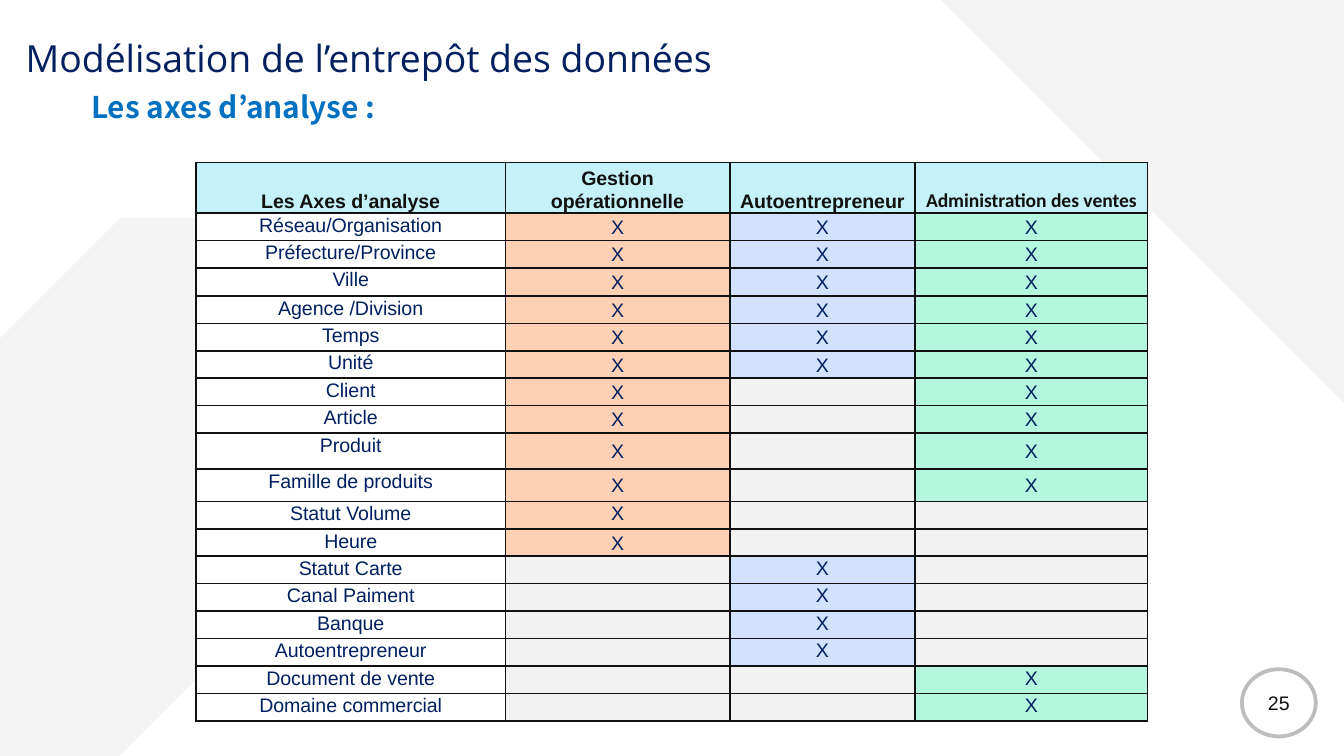
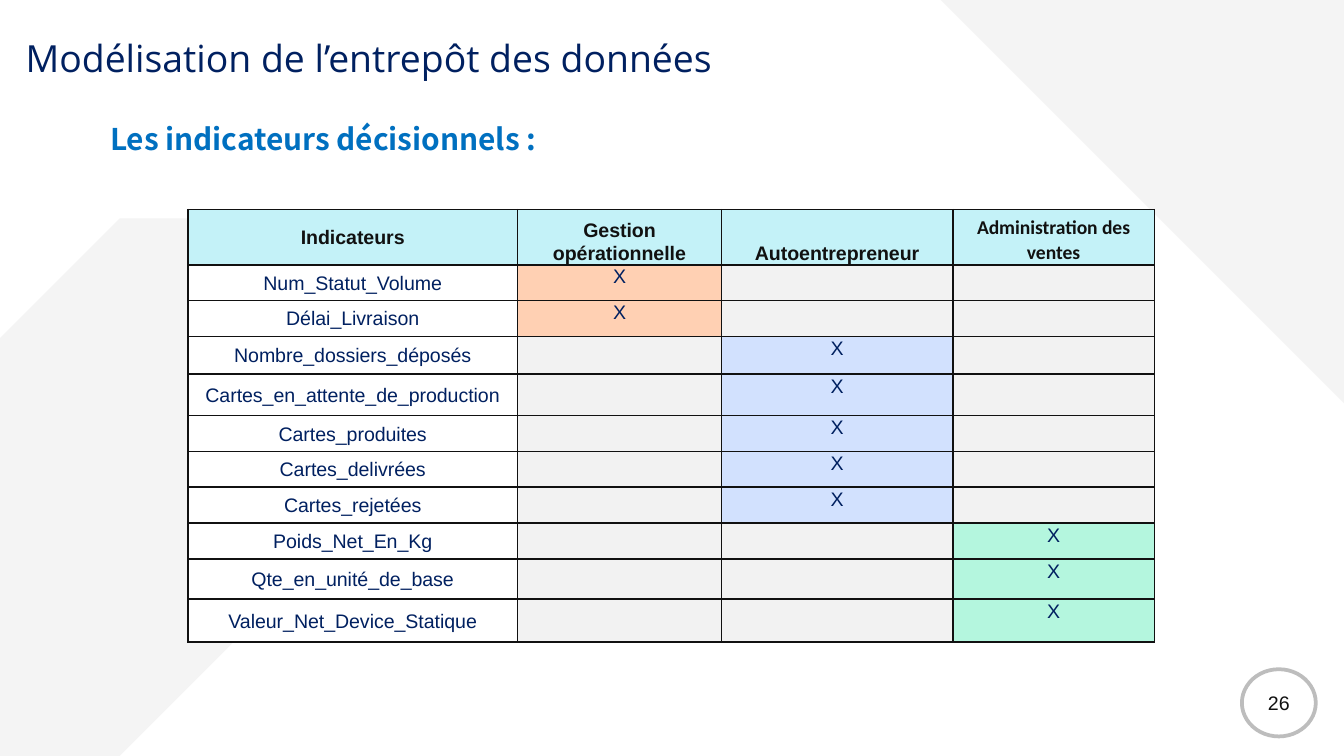
"""Build two slides that cross analysis axes and indicators with three business areas."""
from dataclasses import dataclass

from lxml import etree
from pptx import Presentation
from pptx.dml.color import RGBColor
from pptx.enum.shapes import MSO_SHAPE
from pptx.enum.text import MSO_ANCHOR, MSO_AUTO_SIZE, PP_ALIGN
from pptx.oxml.ns import qn
from pptx.util import Inches, Pt

TOP, MID, LOW = MSO_ANCHOR.TOP, MSO_ANCHOR.MIDDLE, MSO_ANCHOR.BOTTOM
LEFT, CENTER = PP_ALIGN.LEFT, PP_ALIGN.CENTER
GROW = MSO_AUTO_SIZE.SHAPE_TO_FIT_TEXT
WEDGE, SNIP, OVAL = MSO_SHAPE.RIGHT_TRIANGLE, MSO_SHAPE.SNIP_2_DIAG_RECTANGLE, MSO_SHAPE.OVAL


@dataclass(frozen=True)
class Theme:
    """Colours, fonts and type sizes."""
    white: str = "FFFFFF"
    shade: str = "F4F4F4"
    ring: str = "BDBDBD"
    ink: str = "111111"
    navy: str = "002060"
    blue: str = "0070C0"
    head: str = "C4F2F8"
    blank: str = "F2F2F2"
    marks: tuple = (("G", "FFD0B3"), ("A", "D2E1FE"), ("V", "B4F6DE"))
    sans: str = "Arial"
    title: str = "Open Sans"
    sub: str = "Noto Sans CJK JP"
    alt: str = "Calibri"
    big: float = 20
    mid: float = 16
    small: float = 10.5


LOOK = Theme()
WIDE = Inches(10)
HIGH = WIDE * 9 // 16
TITLE = "Modélisation de l’entrepôt des données"
AREAS = ["Gestion opérationnelle", "Autoentrepreneur", "Administration des ventes"]

AXES = {
    "page": 25, "sub": "Les axes d’analyse :", "spot": (0.58, 0.61),
    "box": (1.46, 1.21, 7.08, 4.15), "cols": (2.3, 1.67, 1.38, 1.73),
    "head": "Les Axes d’analyse", "high": 0.37, "anchors": (LOW, TOP),
    "rows": [
        ("Réseau/Organisation", "GAV", None, MID),
        ("Préfecture/Province", "GAV", None, MID),
        ("Ville", "GAV", 0.21, MID),
        ("Agence /Division", "GAV", None, MID),
        ("Temps", "GAV", None, MID),
        ("Unité", "GAV", None, MID),
        ("Client", "GV", None, MID),
        ("Article", "GV", None, MID),
        ("Produit", "GV", 0.27, MID),
        ("Famille de produits", "GV", 0.24, MID),
        ("Statut Volume", "G", None, TOP),
        ("Heure", "G", None, MID),
        ("Statut Carte", "A", None, TOP),
        ("Canal Paiment", "A", None, TOP),
        ("Banque", "A", None, TOP),
        ("Autoentrepreneur", "A", None, TOP),
        ("Document de vente", "V", None, TOP),
        ("Domaine commercial", "V", None, TOP),
    ],
}
FACTS = {
    "page": 26, "sub": "Les indicateurs décisionnels :", "spot": (0.72, 0.85),
    "box": (1.4, 1.56, 7.19, 3.22), "cols": (2.45, 1.52, 1.72, 1.5),
    "head": "Indicateurs", "high": 0.41, "anchors": (MID, MID),
    "rows": [
        ("Num_Statut_Volume", "G", None, TOP),
        ("Délai_Livraison", "G", None, TOP),
        ("Nombre_dossiers_déposés", "A", 0.28, TOP),
        ("Cartes_en_attente_de_production", "A", 0.31, TOP),
        ("Cartes_produites", "A", None, TOP),
        ("Cartes_delivrées", "A", None, TOP),
        ("Cartes_rejetées", "A", None, TOP),
        ("Poids_Net_En_Kg", "V", None, TOP),
        ("Qte_en_unité_de_base", "V", 0.3, TOP),
        ("Valeur_Net_Device_Statique", "V", 0.32, TOP),
    ],
}


def rgb(code):
    """Turn a hex code into a colour."""
    return RGBColor.from_string(code)


def apply(item, form):
    """Set attributes from a dict of format values."""
    for name, value in form.items():
        setattr(item, name, value)


def write(frame, text, font, size, tint, bold=False, **form):
    """Write one formatted paragraph."""
    para = frame.paragraphs[0]
    apply(para, form)
    run = para.add_run()
    run.text = text
    apply(run.font, {"name": font, "size": Pt(size), "bold": bold})
    run.font.color.rgb = rgb(tint)


def place(shape, box):
    """Move and size a shape in inches."""
    apply(shape, dict(zip(("left", "top", "width", "height"), map(Inches, box))))


def add_form(slide, kind, box, fill=None, turn=0):
    """Add a flat preset shape without a line."""
    shape = slide.shapes.add_shape(kind, *map(Inches, box))
    shape.shadow.inherit = False
    shape.rotation = turn
    shape.line.fill.background()
    if fill:
        shape.fill.solid()
        shape.fill.fore_color.rgb = rgb(fill)
    else:
        shape.fill.background()
    return shape


def add_back(slide):
    """Draw the pale corner shapes."""
    add_form(slide, WEDGE, (7, 0, 3, 3), LOOK.shade, 180)
    snip = add_form(slide, SNIP, (0, 1.62, 1.78, 4), LOOK.shade, 180)
    snip.top = HIGH - snip.height
    snip.adjustments[0], snip.adjustments[1] = 0, 0.5
    snip.element.spPr.xfrm.set("flipH", "1")


def add_heads(slide, sub, spot):
    """Fill the title and add the subtitle."""
    title = slide.shapes.title
    place(title, (0.09, 0.21, 5.98, 0.44))
    apply(title.text_frame, {"word_wrap": False, "auto_size": GROW, "vertical_anchor": TOP})
    write(title.text_frame, TITLE, LOOK.title, LOOK.big, LOOK.navy, alignment=LEFT)
    note = slide.shapes.add_textbox(*map(Inches, (*spot, 5.71, 0.37)))
    apply(note.text_frame, {"word_wrap": True, "auto_size": GROW})
    write(note.text_frame, sub, LOOK.sub, LOOK.mid, LOOK.blue, True)


def add_page(slide, page):
    """Add the ringed page number."""
    ring = add_form(slide, OVAL, (9.24, 4.98, 0.55, 0.5))
    ring.line.color.rgb = rgb(LOOK.ring)
    ring.line.width = Pt(2)
    ring.text_frame.vertical_anchor = MID
    write(ring.text_frame, str(page), LOOK.sans, LOOK.small, LOOK.ink, alignment=CENTER)


def fill_cell(cell, text, fill, anchor, font=LOOK.sans, tint=LOOK.navy, bold=False):
    """Format a cell and write its text."""
    side = Inches(0.06)
    apply(cell, {"margin_left": side, "margin_right": side, "margin_top": 0,
                 "margin_bottom": 0, "vertical_anchor": anchor})
    cell.fill.solid()
    cell.fill.fore_color.rgb = rgb(fill)
    if text:
        write(cell.text_frame, text, font, LOOK.small, tint, bold,
              alignment=CENTER, line_spacing=1.07, space_after=Pt(8))


def rule_cells(frame):
    """Draw cell borders and set the type size of empty cells."""
    for cell in frame.element.iter(qn("a:tc")):
        props = cell.find(qn("a:tcPr"))
        for spot, side in enumerate(("lnL", "lnR", "lnT", "lnB")):
            line = etree.Element(qn(f"a:{side}"), w=str(Pt(1)))
            fill = etree.SubElement(line, qn("a:solidFill"))
            etree.SubElement(fill, qn("a:srgbClr"), val=LOOK.ink)
            props.insert(spot, line)
        for para in cell.iter(qn("a:p")):
            etree.SubElement(para, qn("a:endParaRPr"), sz=str(int(LOOK.small * 100)))


def add_grid(slide, data):
    """Add the table of labels and marks."""
    rows = data["rows"]
    frame = slide.shapes.add_table(len(rows) + 1, 4, *map(Inches, data["box"]))
    table = frame.table
    apply(table, {"first_row": False, "horz_banding": False})
    for col, width in zip(table.columns, data["cols"]):
        col.width = Inches(width)
    fixed = [row[2] for row in rows if row[2]]
    even = (data["box"][3] - data["high"] - sum(fixed)) / (len(rows) - len(fixed))
    highs = [data["high"]] + [row[2] or even for row in rows]
    for row, high in zip(table.rows, highs):
        row.height = Inches(high)

    first, label = data["anchors"]
    for col, text in enumerate([data["head"], *AREAS]):
        fill_cell(table.cell(0, col), text, LOOK.head, LOW if col else first,
                  LOOK.alt if col == 3 else LOOK.sans, LOOK.ink, True)
    for line, (name, marks, _, anchor) in enumerate(rows, 1):
        fill_cell(table.cell(line, 0), name, LOOK.white, label)
        for col, (key, tint) in enumerate(LOOK.marks, 1):
            on = key in marks
            fill_cell(table.cell(line, col), "X" if on else "",
                      tint if on else LOOK.blank, anchor)
    rule_cells(frame)


def main():
    """Build and save the deck."""
    deck = Presentation()
    apply(deck, {"slide_width": WIDE, "slide_height": HIGH})
    for data in (AXES, FACTS):
        slide = deck.slides.add_slide(deck.slide_layouts[5])
        add_back(slide)
        add_heads(slide, data["sub"], data["spot"])
        add_page(slide, data["page"])
        add_grid(slide, data)
    deck.save("out.pptx")


if __name__ == "__main__":
    main()
